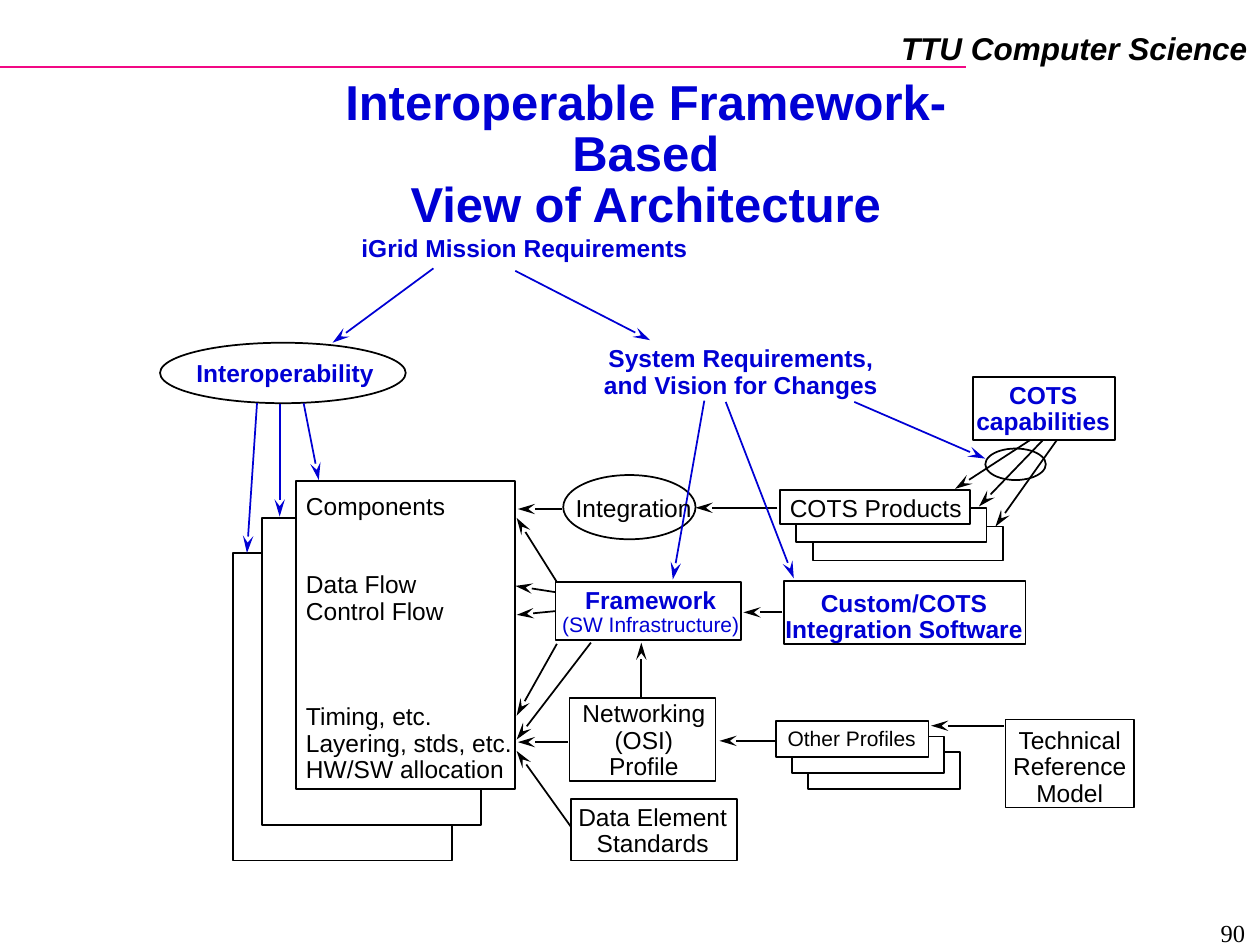
from dataclasses import dataclass
from typing import Any

from lxml import etree
from pptx import Presentation
from pptx import util as u
from pptx.dml.color import RGBColor
from pptx.enum import shapes, text
from pptx.oxml import ns

BLACK = RGBColor(0x00, 0x00, 0x00)
BLUE = RGBColor(0x00, 0x00, 0xD4)
PINK = RGBColor(0xF2, 0x08, 0x84)
WHITE = RGBColor(0xFF, 0xFF, 0xFF)

RECT = shapes.MSO_SHAPE.RECTANGLE
OVAL = shapes.MSO_SHAPE.OVAL
LEFT, CENTER, RIGHT = (text.PP_ALIGN.LEFT, text.PP_ALIGN.CENTER,
                       text.PP_ALIGN.RIGHT)
GRID = 2.54  # centimetres per unit of the drawing grid

PLAIN = {"name": "Arial", "size": u.Pt(14), "bold": False, "italic": False}
SMALL = PLAIN | {"size": u.Pt(12)}
BOLD = PLAIN | {"bold": True}
HEADER = BOLD | {"size": u.Pt(18), "italic": True}
TITLE = BOLD | {"size": u.Pt(28)}
NUMBER = PLAIN | {"name": "Times New Roman"}


@dataclass
class Box:
    x: float
    y: float
    w: float
    h: float
    kind: Any = RECT
    filled: bool = False


@dataclass
class Line:
    """A line from its start to its tip."""
    x1: float
    y1: float
    x2: float
    y2: float
    color: RGBColor = BLACK
    arrow: bool = True


@dataclass
class Label:
    x: float
    y: float
    w: float
    h: float
    lines: list[str]
    color: RGBColor = BLACK
    font: Any = None
    align: Any = CENTER
    spacing: float = 0.9
    wrap: bool = False


def grid(*values: float) -> list[u.Length]:
    return [u.Cm(v * GRID) for v in values]


def draw_box(s: Any, b: Box) -> None:
    sp = s.shapes.add_shape(b.kind, *grid(b.x, b.y, b.w, b.h))
    sp.shadow.inherit = False
    if b.filled:
        sp.fill.solid()
        sp.fill.fore_color.rgb = WHITE
    else:
        sp.fill.background()
    sp.line.color.rgb = BLACK
    sp.line.width = u.Pt(1)


def draw_line(s: Any, l: Line) -> None:
    c = s.shapes.add_connector(shapes.MSO_CONNECTOR.STRAIGHT,
                               *grid(l.x1, l.y1, l.x2, l.y2))
    c.line.color.rgb = l.color
    c.line.width = u.Pt(1)
    pr = c.element.spPr
    if l.arrow:
        etree.SubElement(pr.find(ns.qn("a:ln")), ns.qn("a:tailEnd"),
                         type="stealth", w="med", len="lg")
    etree.SubElement(pr, ns.qn("a:effectLst"))


def draw_label(s: Any, l: Label, fonts: dict[int, dict] = {},
               gaps: dict[int, float] = {}) -> None:
    """Write one paragraph per line; fonts and gaps go by line index."""
    tf = s.shapes.add_textbox(*grid(l.x, l.y, l.w, l.h)).text_frame
    tf.word_wrap = l.wrap
    for i, line in enumerate(l.lines):
        p = tf.add_paragraph() if i else tf.paragraphs[0]
        form = {"text": line, "alignment": l.align, "line_spacing": l.spacing,
                "space_before": u.Pt(gaps.get(i, 0))}
        for key, value in form.items():
            setattr(p, key, value)
        for r in p.runs:
            for key, value in fonts.get(i, l.font or PLAIN).items():
                setattr(r.font, key, value)
            r.font.color.rgb = l.color


STACKS = [  # each from back to front
    Box(1.85, 4.39, 1.74, 2.44, filled=True),
    Box(2.08, 4.11, 1.74, 2.44, filled=True),
    Box(2.35, 3.82, 1.74, 2.44, filled=True),
    *(Box(6.16 + 0.125 * i, 5.72 + 0.125 * i, 1.21, 0.29, filled=True)
      for i in (2, 1, 0)),
    *(Box(6.19 + 0.13 * i, 3.89 + 0.145 * i, 1.51, 0.27, filled=True)
      for i in (2, 1, 0)),
]
BOXES = [
    Box(4.52, 5.54, 1.16, 0.66),  # networking profile
    Box(4.53, 6.34, 1.32, 0.49),  # data element standards
    Box(7.98, 5.71, 1.02, 0.70),  # technical reference model
    Box(7.72, 2.99, 1.13, 0.50),  # COTS capabilities
    Box(6.22, 4.61, 1.92, 0.50),  # integration software
    Box(4.41, 4.62, 1.47, 0.46),  # framework
    Box(4.47, 3.77, 1.05, 0.51, OVAL),  # integration
    Box(7.82, 3.56, 0.48, 0.25, OVAL),  # ring round the COTS arrows
    Box(1.27, 2.72, 1.95, 0.48, OVAL),  # interoperability
]
LINES = [
    Line(0, 0.53, 7.67, 0.53, PINK, arrow=False),  # header rule
    # Into the components
    Line(4.46, 4.04, 4.11, 4.04),
    Line(4.42, 4.62, 4.10, 4.11),
    Line(4.41, 4.70, 4.09, 4.65),
    Line(4.41, 4.85, 4.10, 4.88),
    Line(4.42, 5.11, 4.10, 5.68),
    Line(4.69, 5.10, 4.10, 5.87),
    Line(4.51, 5.89, 4.11, 5.89),
    Line(4.53, 6.56, 4.10, 5.96),
    # Between the boxes
    Line(6.15, 5.88, 5.71, 5.88),
    Line(7.97, 5.76, 7.39, 5.76),
    Line(6.17, 4.03, 5.52, 4.03),
    Line(6.21, 4.86, 5.90, 4.86),
    Line(5.09, 5.53, 5.09, 5.10),
    # From COTS capabilities
    Line(8.18, 3.49, 7.58, 3.88),
    Line(8.28, 3.49, 7.77, 4.02),
    Line(8.39, 3.49, 7.90, 4.18),
    # From the requirements
    Line(4.09, 2.15, 5.16, 2.70, BLUE),
    Line(3.44, 2.13, 2.64, 2.72, BLUE),
    Line(6.78, 3.19, 7.82, 3.64, BLUE),
    Line(5.59, 3.18, 5.34, 4.60, BLUE),
    Line(5.76, 3.19, 6.30, 4.59, BLUE),
    # From interoperability
    Line(2.22, 3.21, 2.22, 4.10, BLUE),
    Line(2.41, 3.20, 2.53, 3.81, BLUE),
    Line(2.04, 3.20, 1.96, 4.39, BLUE),
]
LABELS = [
    Label(7.05, 0.18, 2.95, 0.4, ["TTU Computer Science"], font=HEADER,
          align=RIGHT, spacing=1.0),
    Label(2.08, 0.58, 6.09, 0.87,
          ["Interoperable Framework-Based\vView of Architecture"],
          BLUE, TITLE, spacing=0.87, wrap=True),
    Label(4.49, 6.34, 1.38, 0.52, ["Data Element", "Standards"]),
    Label(7.94, 5.73, 1.10, 0.73, ["Technical", "Reference", "Model"]),
    Label(6.15, 5.73, 1.22, 0.28, ["Other Profiles"], font=SMALL),
    Label(4.47, 3.89, 1.12, 0.31, ["Integration"], align=LEFT),
    Label(6.17, 3.89, 1.57, 0.31, ["COTS Products"], align=LEFT),
    Label(7.65, 2.99, 1.26, 0.52, ["COTS", "capabilities"], BLUE, BOLD),
    Label(4.69, 2.70, 2.38, 0.52,
          ["System Requirements,", "and Vision for Changes"], BLUE, BOLD),
    Label(1.46, 2.82, 1.61, 0.31, ["Interoperability"], BLUE, BOLD, LEFT),
    Label(2.77, 1.83, 2.79, 0.31, ["iGrid Mission Requirements"],
          BLUE, BOLD, LEFT),
    Label(6.13, 4.64, 2.09, 0.52, ["Custom/COTS", "Integration Software"],
          BLUE, BOLD),
    Label(4.52, 5.52, 1.18, 0.73, ["Networking", "(OSI)", "Profile"]),
    Label(7.65, 7.24, 2.33, 0.22, ["90"], font=NUMBER, align=RIGHT,
          spacing=1.0, wrap=True),
]
COMPONENTS = Label(2.33, 3.87, 1.92, 2.41, [
    "Components", "Data Flow", "Control Flow", "Timing, etc.",
    "Layering, stds, etc.", "HW/SW allocation"], align=LEFT, wrap=True)
FRAMEWORK = Label(4.36, 4.62, 1.61, 0.49,
                  ["Framework", "(SW Infrastructure)"], BLUE, BOLD)


def main() -> None:
    prs = Presentation()
    prs.slide_width, prs.slide_height = grid(10, 7.5)
    s = prs.slides.add_slide(prs.slide_layouts[6])
    for box in STACKS + BOXES:
        draw_box(s, box)
    for line in LINES:
        draw_line(s, line)
    for label in LABELS:
        draw_label(s, label)
    draw_label(s, COMPONENTS, gaps={1: 30, 3: 45})
    draw_label(s, FRAMEWORK, fonts={1: SMALL})
    prs.save("out.pptx")


if __name__ == "__main__":
    main()
